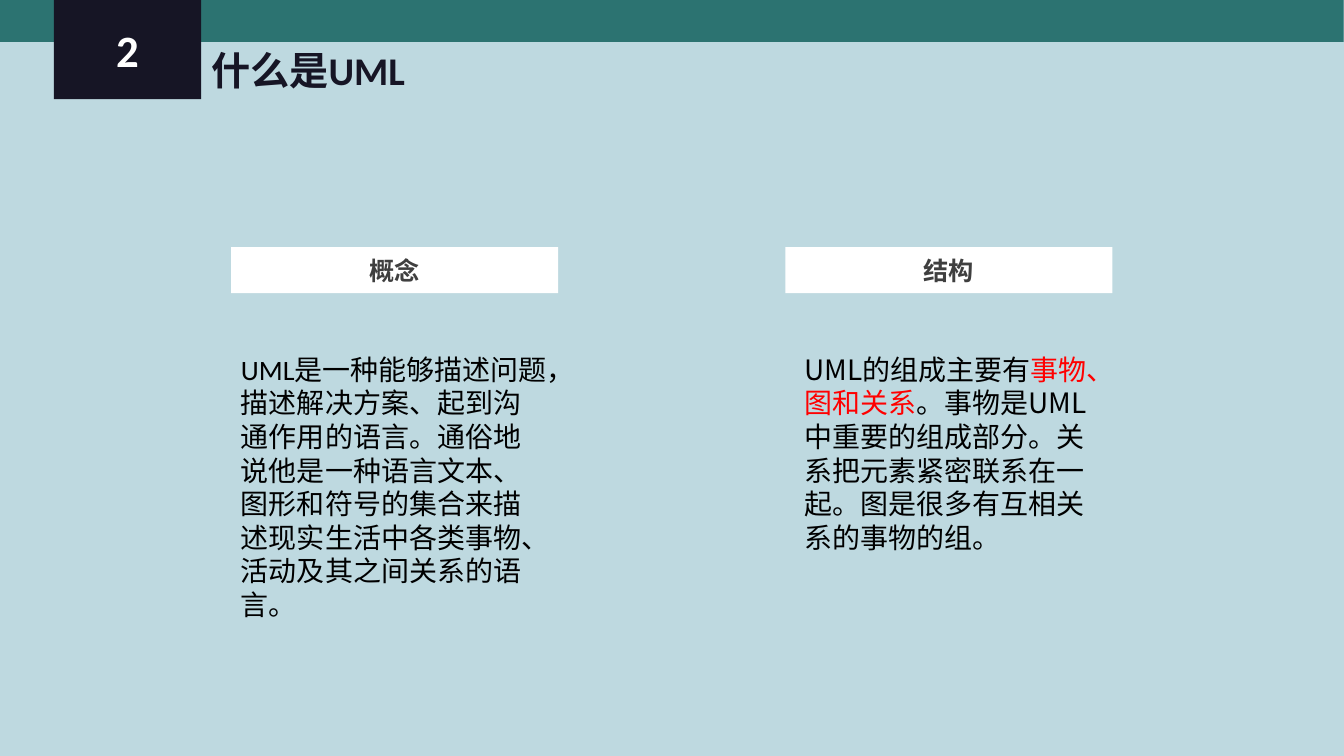
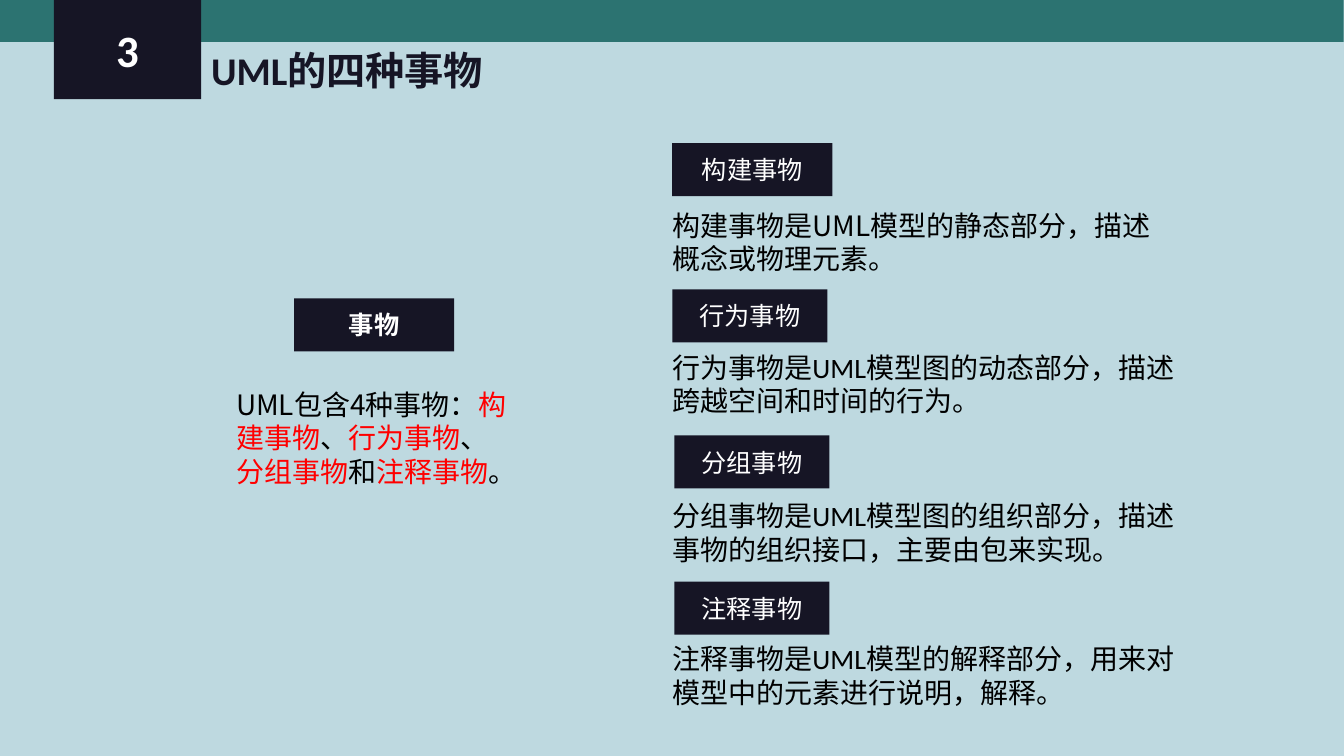
"""Build two slides on what UML is and its four kinds of things."""
from lxml import etree
from pptx import Presentation
from pptx.dml.color import RGBColor
from pptx.enum.shapes import MSO_SHAPE
from pptx.enum.text import MSO_ANCHOR, MSO_AUTO_SIZE, PP_ALIGN
from pptx.oxml.ns import qn
from pptx.util import Inches, Pt

RECT = MSO_SHAPE.RECTANGLE
TOP, MIDDLE = MSO_ANCHOR.TOP, MSO_ANCHOR.MIDDLE
LEFT, CENTER = PP_ALIGN.LEFT, PP_ALIGN.CENTER
NO_FIT = MSO_AUTO_SIZE.NONE

PALE = RGBColor(0xBE, 0xD9, 0xE0)
TEAL = RGBColor(0x2C, 0x73, 0x71)
NAVY = RGBColor(0x16, 0x15, 0x25)
GREY = RGBColor(0x3F, 0x3F, 0x3F)
WHITE = RGBColor(0xFF, 0xFF, 0xFF)
BLACK = RGBColor(0, 0, 0)
RED = RGBColor(0xFF, 0, 0)

LATIN, HAN = "Calibri", "Noto Sans CJK SC"
MARK = "*"
PX = 9080

COLUMNS = [
    ("概念", 231, 231, 279, LATIN,
     "UML是一种能够描述问题，描述解决方案、起到沟通作用的语言。"
     "通俗地说他是一种语言文本、图形和符号的集合来描述现实生活中"
     "各类事物、活动及其之间关系的语言。"),
    ("结构", 785, 794, 211, HAN,
     "UML的组成主要有*事物、图和关系*。事物是UML中重要的组成部分。"
     "关系把元素紧密联系在一起。图是很多有互相关系的事物的组。"),
]
SUMMARY = ("事物", "UML包含4种事物：*构建事物*、*行为事物*、*分组事物*和*注释事物*。")
THINGS = [
    ("构建事物", 672, 160, 203, HAN,
     "构建事物是UML模型的静态部分，描述概念或物理元素。"),
    ("行为事物", 672, 155, 345, LATIN,
     "行为事物是UML模型图的动态部分，描述跨越空间和时间的行为。"),
    ("分组事物", 674, 155, 493, LATIN,
     "分组事物是UML模型图的组织部分，描述事物的组织接口，主要由包来实现。"),
    ("注释事物", 674, 155, 636, LATIN,
     "注释事物是UML模型的解释部分，用来对模型中的元素进行说明，解释。"),
]
TAG_TOP, TAG_STEP, TAG_HEIGHT = 143, 146, 53


def emu(*lengths):
    return [int(n * PX) for n in lengths]


def write(sp, text, size, color, font=HAN, bold=False, align=LEFT, anchor=TOP):
    """Fill a shape with text; parts between marks are red."""
    tf = sp.text_frame
    tf.word_wrap = True
    tf.auto_size = NO_FIT
    tf.vertical_anchor = anchor
    p = tf.paragraphs[0]
    p.alignment = align
    for i, part in enumerate(text.split(MARK)):
        r = p.add_run()
        r.text = part
        r.font.size = Pt(size)
        r.font.bold = bold
        r.font.name = font
        r.font.color.rgb = RED if i % 2 else color
        ea = etree.Element(qn("a:ea"), typeface=HAN)
        r.font._element.find(qn("a:latin")).addnext(ea)


def add_box(s, place, fill):
    sp = s.shapes.add_shape(RECT, *emu(*place))
    sp.shadow.inherit = False
    sp.fill.solid()
    sp.fill.fore_color.rgb = fill
    sp.line.fill.background()
    return sp


def add_label(s, place, fill, text, color, size=18, font=HAN, bold=True):
    write(add_box(s, place, fill), text, size, color, font, bold, CENTER, MIDDLE)


def add_body(s, place, text, font=HAN):
    write(s.shapes.add_textbox(*emu(*place)), text, 20, BLACK, font)


def add_titled_slide(prs, number, title):
    s = prs.slides.add_slide(prs.slide_layouts[5])
    add_box(s, (0, 0, 1343, 42), TEAL)
    add_label(s, (54, 0, 147, 99), NAVY, number, WHITE, 32, LATIN)
    sp = s.shapes.title
    sp.left, sp.top, sp.width, sp.height = emu(201, 41, 644, 57)
    write(sp, title, 28, NAVY, LATIN, True)
    return s


prs = Presentation()
prs.slide_width, prs.slide_height = Inches(13.34), Inches(7.5)
background = prs.slide_master.background.fill
background.solid()
background.fore_color.rgb = PALE

s = add_titled_slide(prs, "2", "什么是UML")
for heading, label_x, body_x, height, font, text in COLUMNS:
    add_label(s, (label_x, 247, 327, 46), WHITE, heading, GREY)
    add_body(s, (body_x, 347, 327, height), text, font)

s = add_titled_slide(prs, "3", "UML的四种事物")
heading, text = SUMMARY
add_label(s, (294, 298, 160, TAG_HEIGHT), NAVY, heading, WHITE)
add_body(s, (226, 382, 297, 145), text)
for i, (name, tag_x, width, body_y, font, text) in enumerate(THINGS):
    tag = (tag_x, TAG_TOP + i * TAG_STEP, width, TAG_HEIGHT)
    add_label(s, tag, NAVY, name, WHITE, bold=False)
    add_body(s, (662, body_y, 524, 78), text, font)

prs.save("out.pptx")
